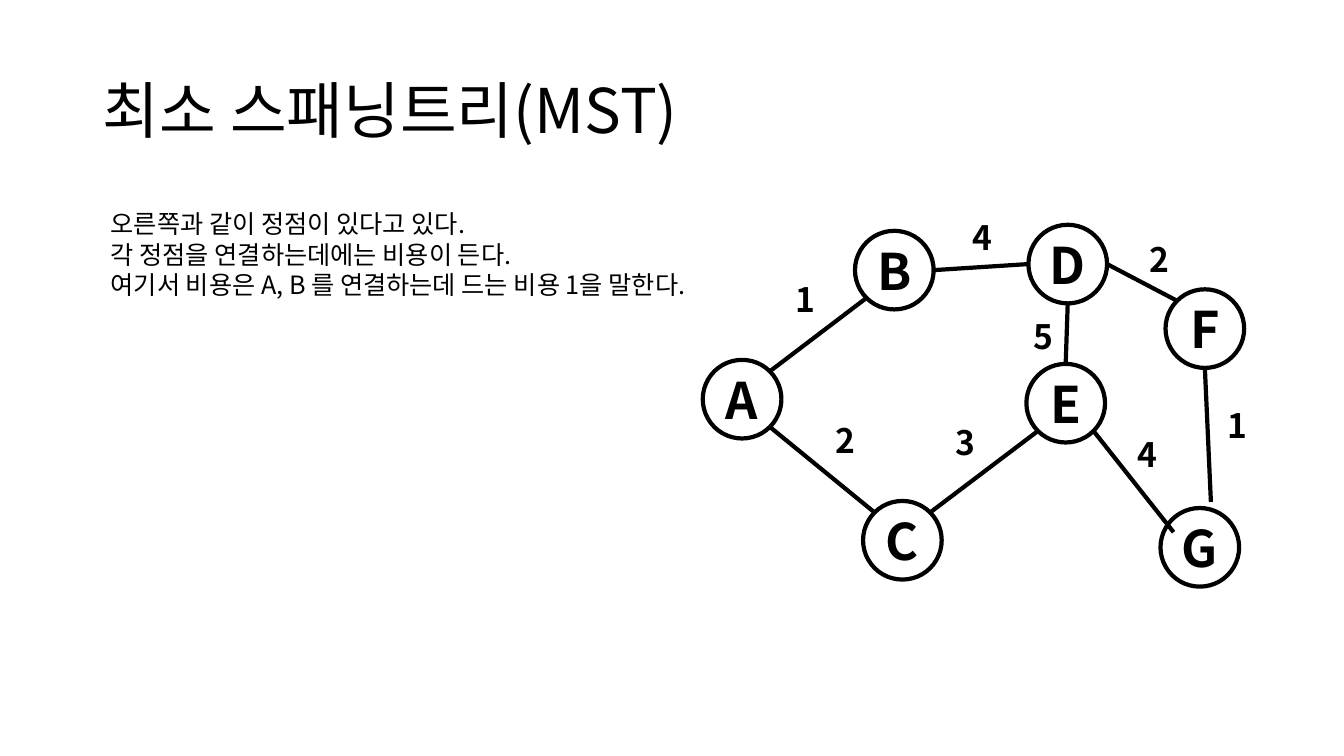
from math import cos, radians, sin

from lxml.etree import SubElement
from pptx import Presentation
from pptx.dml.color import RGBColor
from pptx.enum.shapes import MSO_CONNECTOR as CONN, MSO_SHAPE as SHAPE
from pptx.enum.text import MSO_ANCHOR as ANCHOR, MSO_AUTO_SIZE as FIT, PP_ALIGN as ALIGN
from pptx.oxml.ns import qn
from pptx.util import Pt

PX = 9144  # 100 px to the inch
FONT = "Noto Sans CJK KR"
BLACK = "000000"
NODE = 78  # node diameter

TITLE = "최소 스패닝트리(MST)"
NOTES = [
    "오른쪽과 같이 정점이 있다고 있다.",
    "각 정점을 연결하는데에는 비용이 든다.",
    "여기서 비용은 A, B 를 연결하는데 드는 비용 1을 말한다.",
]

# Top left corner of each node
NODES = {
    "A": (697, 357), "B": (848, 229), "C": (856, 497), "D": (1020, 223),
    "E": (1018, 361), "F": (1156, 287), "G": (1151, 504),
}

# Each end is (node, clockwise degrees from the right) or a free point;
# then the cost and the top left corner of its label
EDGES = [
    (("B", 135), ("A", 315), "1", (779, 270)),
    (("C", 225), ("A", 45), "2", (819, 410)),
    (("E", 135), ("C", 315), "3", (938, 412)),
    (("D", 180), ("B", 0), "4", (955, 209)),
    (("D", 90), ("E", 270), "5", (1015, 307)),
    ((1164, 528), ("E", 45), "4", (1118, 424)),
    (("F", 225), ("D", 0), "2", (1130, 230)),
    (("F", 90), (1201, 498), "1", (1208, 395)),
]


def color(value):
    return RGBColor.from_string(value)


def emu(*lengths):
    return [round(n * PX) for n in lengths]


def style(p, size, bold=False, align=ALIGN.LEFT, spacing=None):
    p.alignment = align
    if spacing:
        p.line_spacing = spacing
    f = p.font
    f.size, f.bold, f.name = Pt(size), bold, FONT
    f.color.rgb = color(BLACK)
    props = p._p.get_or_add_pPr().find(qn("a:defRPr"))
    SubElement(props, qn("a:ea")).set("typeface", FONT)


def outline(s):
    s.line.color.rgb = color(BLACK)
    s.line.width = Pt(3)


def end_point(end):
    name, turn = end
    if name not in NODES:
        return emu(*end)
    x, y = NODES[name]
    r, a = NODE / 2, radians(turn)
    return emu(x + r + r * cos(a), y + r + r * sin(a))


prs = Presentation()
prs.slide_width, prs.slide_height = emu(1333, 750)
slide = prs.slides.add_slide(prs.slide_layouts[5])
shapes = slide.shapes

# Title
title = shapes.title
title.left, title.top, title.width, title.height = emu(92, 40, 1150, 145)
tf = title.text_frame
tf.text = TITLE
tf.auto_size, tf.vertical_anchor = FIT.NONE, ANCHOR.MIDDLE
style(tf.paragraphs[0], 44, spacing=0.9)

# Nodes
for name, (x, y) in NODES.items():
    s = shapes.add_shape(SHAPE.OVAL, *emu(x, y, NODE, NODE))
    s.shadow.inherit = False
    s.fill.background()
    outline(s)
    tf = s.text_frame
    tf.text = name
    tf.margin_left = tf.margin_right = 0
    tf.vertical_anchor = ANCHOR.MIDDLE
    style(tf.paragraphs[0], 36, bold=True, align=ALIGN.CENTER)

# Edges with their costs
for start, end, cost, label_at in EDGES:
    line = shapes.add_connector(CONN.STRAIGHT, *end_point(start), *end_point(end))
    outline(line)
    SubElement(line._element.spPr, qn("a:effectLst"))
    tf = shapes.add_textbox(*emu(*label_at, 40, 50)).text_frame
    tf.text = cost
    tf.word_wrap = False
    style(tf.paragraphs[0], 24, bold=True, spacing=Pt(30))

# Explanation
tf = shapes.add_textbox(*emu(100, 201, 742, 131)).text_frame
tf.word_wrap = True
tf.text = "\n".join(NOTES)
for p in tf.paragraphs:
    style(p, 18, spacing=Pt(22))

prs.save("out.pptx")
